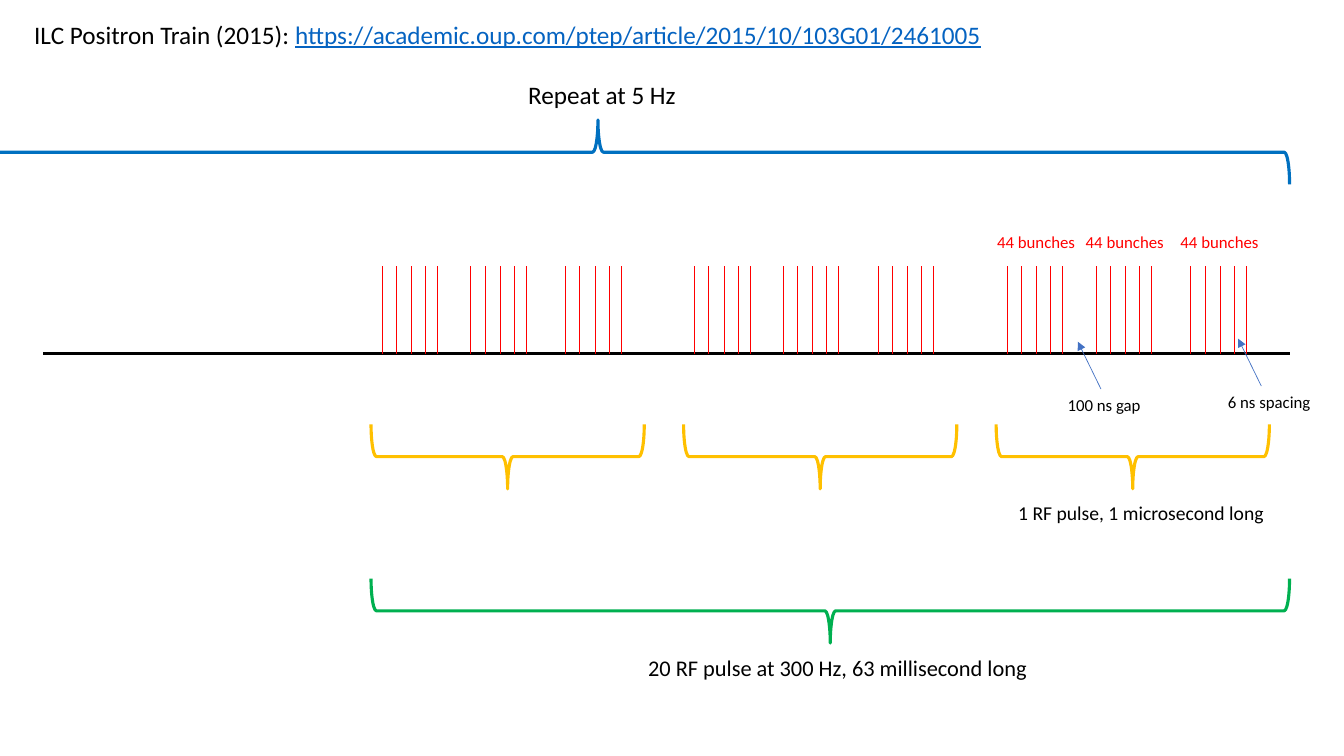
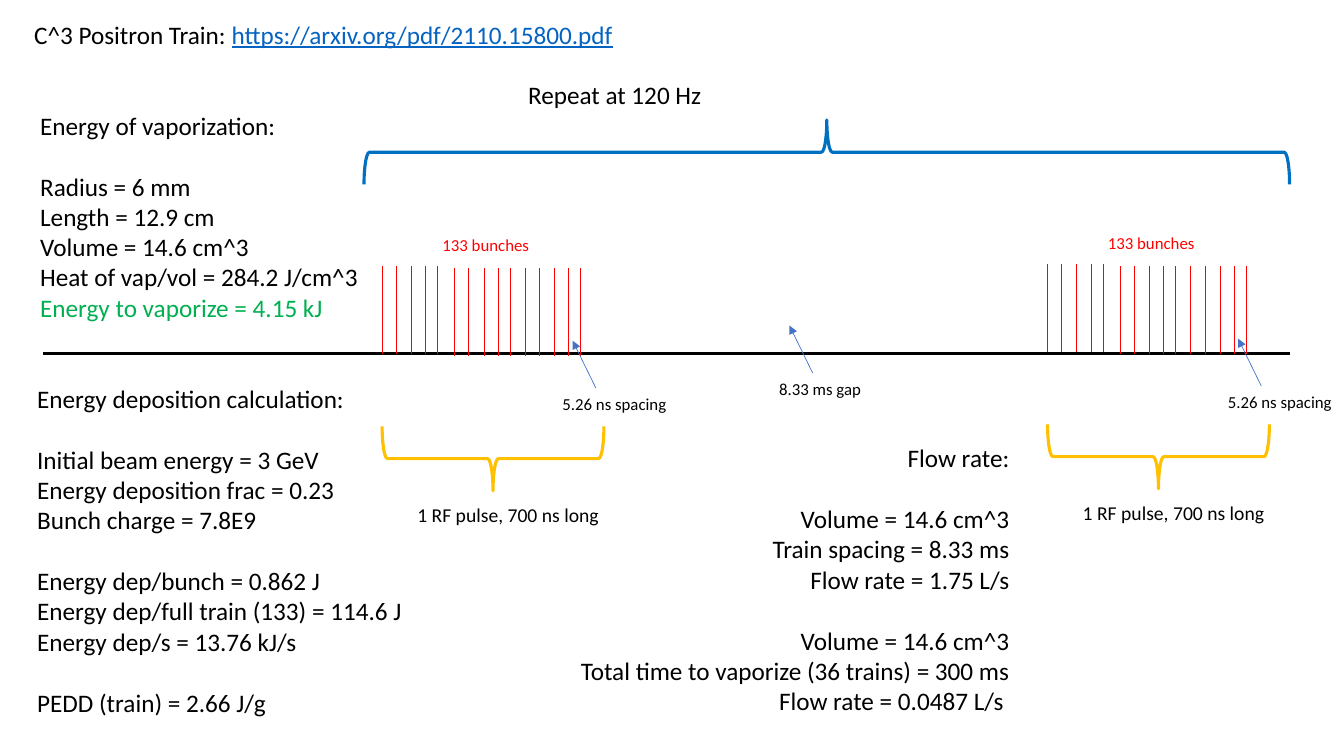
from lxml.etree import SubElement
from pptx import Presentation
from pptx.dml.color import RGBColor
from pptx.enum.shapes import MSO_CONNECTOR as Connector, MSO_SHAPE as Shape
from pptx.enum.text import MSO_AUTO_SIZE as AutoSize, PP_ALIGN as Align
from pptx.oxml.ns import qn
from pptx.util import Inches, Pt

# Shared style
FONT = "Calibri"
BLACK, RED, GREEN, GOLD = "000000", "FF0000", "00B050", "FFC000"
BLUE, ARROW_BLUE, LINK_BLUE = "0070C0", "4472C4", "0563C1"
BODY, LINE_PITCH = 18, 22
BRACE_DEPTH = 0.64
BUNCH_TOP, BUNCH_HEIGHT = 2.64, 0.87
BUNCH_OFFSETS = (0, 0.14, 0.29, 0.43, 0.55)

# Content: labels are (text, left, top, width, size, color)
# and callouts are (text, left, top, width)
ILC = {
    "title": ("ILC Positron Train (2015): ",
              "https://academic.oup.com/ptep/article/2015/10/103G01/2461005", 9.63),
    "repeat": ("Repeat at 5 Hz", 1.68),
    "repeat_brace": (-0.93, 13.72),
    "callouts": [("6 ns spacing", 12.08, 3.84, 1.03), ("100 ns gap", 10.49, 3.87, 0.94)],
    "labels": [("44 bunches", left, 2.25, 0.99, 12, RED) for left in (9.79, 10.67, 11.61)] + [
        ("1 RF pulse, 1 microsecond long", 10, 4.92, 2.66, 14, BLACK),
        ("20 RF pulse at 300 Hz, 63 millisecond long", 6.33, 6.44, 4.01, 16, BLACK),
    ],
}
ILC_PULSES, ILC_PULSE_STEP, ILC_TRAINS = 3, 3.1, (0, 0.88, 1.82)

C3 = {
    "title": ("C^3 Positron Train: ", "https://arxiv.org/pdf/2110.15800.pdf", 6.01),
    "repeat": ("Repeat at 120 Hz", 1.94),
    "repeat_brace": (3.61, 9.18),
    "callouts": [("8.33 ms gap", 7.63, 3.71, 1.02)],
    "labels": [],
}
C3_PULSES = ((0, 0), (6.6, -0.02))  # shift of each pulse, right and down
C3_TRAINS = ((0, 0), (0.72, 0.02), (1.42, 0.02))

# Notes: place, alignment, then groups of lines set apart by one line
NOTES = [
    ((0.27, 3.75, 4.01, 3.74), Align.LEFT, [
        ["Energy deposition calculation:"],
        ["Initial beam energy = 3 GeV", "Energy deposition frac = 0.23", "Bunch charge = 7.8E9"],
        ["Energy dep/bunch = 0.862 J", "Energy dep/full train (133) = 114.6 J",
         "Energy dep/s = 13.76 kJ/s"],
        ["PEDD (train) = 2.66 J/g"]]),
    ((0.3, 1.04, 4.01, 2.22), Align.LEFT, [
        ["Energy of vaporization:"],
        ["Radius = 6 mm", "Length = 12.9 cm", "Volume = 14.6 cm^3",
         "Heat of vap/vol = 284.2 J/cm^3", "Energy to vaporize = 4.15 kJ"]]),
    ((5.48, 4.34, 4.63, 2.83), Align.RIGHT, [
        ["Flow rate:"],
        ["Volume = 14.6 cm^3", "Train spacing = 8.33 ms", "Flow rate = 1.75 L/s"],
        ["Volume = 14.6 cm^3", "Total time to vaporize (36 trains) = 300 ms",
         "Flow rate = 0.0487 L/s "]]),
]
HIGHLIGHTS = {"Energy to vaporize = 4.15 kJ": GREEN}


def rgb(color):
    return RGBColor.from_string(color)


def format_span(span, size, color):
    span.font.name = FONT
    span.font.size = Pt(size)
    span.font.color.rgb = rgb(color)


def add_box(page, left, top, width, height, wrap=False):
    box = page.shapes.add_textbox(Inches(left), Inches(top), Inches(width), Inches(height))
    box.text_frame.word_wrap = wrap
    box.text_frame.auto_size = AutoSize.SHAPE_TO_FIT_TEXT
    return box.text_frame


def add_label(page, text, left, top, width, size, color):
    frame = add_box(page, left, top, width, 0.1 + size / 60)
    frame.text = text
    format_span(frame.paragraphs[0].runs[0], size, color)
    return frame.paragraphs[0]


def add_line(page, start, end, color, weight, arrow=False):
    line = page.shapes.add_connector(
        Connector.STRAIGHT, *(Inches(value) for value in (*start, *end)))
    line.line.color.rgb = rgb(color)
    line.line.width = Pt(weight)
    properties = line._element.spPr
    if arrow:
        SubElement(properties.find(qn("a:ln")), qn("a:tailEnd"), type="triangle")
    SubElement(properties, qn("a:effectLst"))


def add_brace(page, left, top, width, color, rotation=270):
    """Place a turned brace by the box it covers on the page."""
    shift = (width - BRACE_DEPTH) / 2
    brace = page.shapes.add_shape(
        Shape.LEFT_BRACE, Inches(left + shift), Inches(top - shift),
        Inches(BRACE_DEPTH), Inches(width))
    brace.rotation = rotation
    brace.shadow.inherit = False
    brace.fill.background()
    brace.line.color.rgb = rgb(color)
    brace.line.width = Pt(2.25)


def add_train(page, left, top=BUNCH_TOP):
    for offset in BUNCH_OFFSETS:
        x = left + offset
        add_line(page, (x, top), (x, top + BUNCH_HEIGHT), RED, 0.5)


def add_callout(page, text, left, top, width):
    add_label(page, text, left, top, width, 12, BLACK)
    add_line(page, (left + 0.43, top - 0.01), (left + 0.2, top - 0.48), ARROW_BLUE, 0.5, True)


def add_notes(page, place, align, groups):
    frame = add_box(page, *place, wrap=True)
    lines = [(text, group and not index)
             for group, texts in enumerate(groups) for index, text in enumerate(texts)]
    frame.text = "\n".join(text for text, _ in lines)
    for para, (text, gap_before) in zip(frame.paragraphs, lines):
        para.alignment = align
        para.space_before = Pt(LINE_PITCH if gap_before else 0)
        format_span(para.runs[0], BODY, HIGHLIGHTS.get(text, BLACK))


def add_page(deck, content):
    """Title, time axis, repeat brace, labels and callouts."""
    page = deck.slides.add_slide(deck.slide_layouts[6])
    add_line(page, (0.43, 3.51), (12.79, 3.51), BLACK, 2.25)
    heading, address, width = content["title"]
    title = add_label(page, heading, 0.24, 0.14, width, BODY, BLACK)
    span = title.add_run()
    span.text = address
    format_span(span, BODY, LINK_BLUE)
    span.font.underline = True
    text, width = content["repeat"]
    add_label(page, text, 5.14, 0.74, width, BODY, BLACK)
    left, width = content["repeat_brace"]
    add_brace(page, left, 1.19, width, BLUE, rotation=90)
    for label in content["labels"]:
        add_label(page, *label)
    for callout in content["callouts"]:
        add_callout(page, *callout)
    return page


def build_ilc(deck):
    page = add_page(deck, ILC)
    for pulse in range(ILC_PULSES):
        left = 3.79 + pulse * ILC_PULSE_STEP
        for train in ILC_TRAINS:
            add_train(page, left + train)
        add_brace(page, left - 0.11, 4.21, 2.71, GOLD)
    add_brace(page, 3.68, 5.74, 9.11, GREEN)


def build_c3(deck):
    page = add_page(deck, C3)
    for right, down in C3_PULSES:
        for train, drop in C3_TRAINS:
            add_train(page, 3.79 + right + train, BUNCH_TOP + down + drop)
        add_label(page, "133 bunches", 4.29 + right, 2.28 + down, 1.07, 12, RED)
        add_callout(page, "5.26 ns spacing", 5.48 + right, 3.86 + down, 1.25)
        add_brace(page, 3.79 + right, 4.23 + down, 2.2, GOLD)
        add_label(page, "1 RF pulse, 700 ns long", 4.04 + right, 4.94 + down, 2.02, 14, BLACK)
    for note in NOTES:
        add_notes(page, *note)


def main():
    deck = Presentation()
    deck.slide_width, deck.slide_height = Inches(13.33), Inches(7.5)
    build_ilc(deck)
    build_c3(deck)
    deck.save("out.pptx")


if __name__ == "__main__":
    main()
